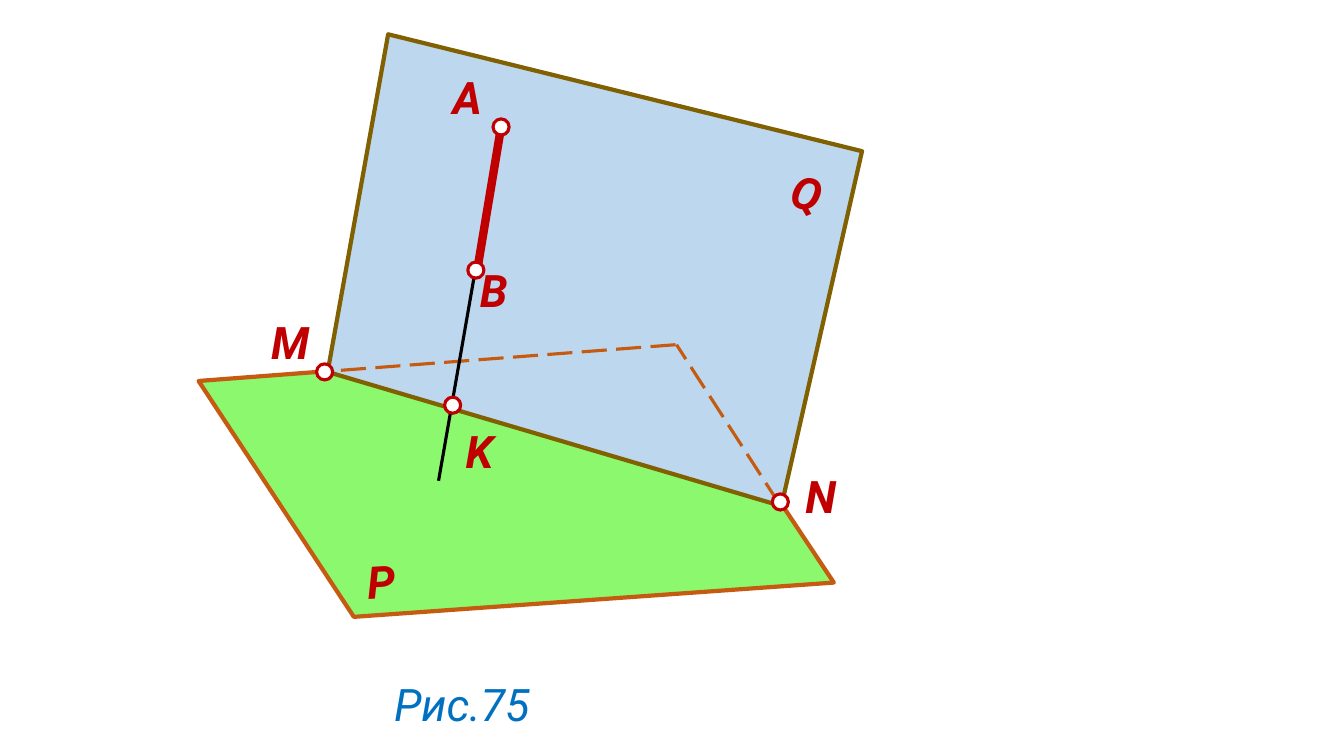
from pptx import Presentation
from pptx.dml.color import RGBColor
from pptx.enum.dml import MSO_LINE
from pptx.enum.shapes import MSO_CONNECTOR, MSO_SHAPE
from pptx.enum.text import MSO_AUTO_SIZE, PP_ALIGN
from pptx.util import Inches, Pt
from lxml import etree

COLORS = {
    "green": "8CF86E", "orange": "C55A11", "blue": "BDD7EE", "brown": "806000",
    "red": "C00000", "black": "000000", "white": "FFFFFF", "caption": "0070C0",
}
PLANES = [
    ([(1.97, 3.78), (6.7, 3.42), (8.27, 5.78), (3.51, 6.12)], "green", "orange"),
    ([(3.85, 0.34), (8.55, 1.5), (7.75, 5.02), (3.25, 3.69)], "blue", "brown"),
]
SEGMENTS = [
    ((7.73, 5), (6.71, 3.42), "orange", 2.25, MSO_LINE.LONG_DASH),
    ((6.7, 3.42), (3.3, 3.68), "orange", 2.25, MSO_LINE.LONG_DASH),
    ((4.97, 1.26), (4.72, 2.76), "red", 6, None),
    ((4.7, 2.76), (4.35, 4.77), "black", 2.25, None),
]
LETTERS = [
    ("B", 4.66, 2.56, 0.48, 0), ("A", 4.39, 0.64, 0.76, 0),
    ("M", 2.59, 3.07, 0.76, 0), ("N", 7.89, 4.6, 0.76, 0),
    ("K", 4.52, 4.15, 0.76, 0), ("Q", 7.75, 1.63, 0.76, 15.4),
    ("P", 3.54, 5.44, 0.76, 356.3),
]
POINTS = [(4.97, 1.26), (4.72, 2.68), (4.49, 4.02), (3.22, 3.69), (7.74, 4.98)]
POINT_SIZE = 0.16
CAPTION = ("Рис.75", 3.81, 6.66, 1.75)
TEXT_HEIGHT = 0.64
DRAWING_NS = "http://schemas.openxmlformats.org/drawingml/2006/main"


def rgb(name):
    return RGBColor.from_string(COLORS[name])


def style_outline(part, color, width):
    part.line.color.rgb = rgb(color)
    part.line.width = Pt(width)


def style_area(area, fill, outline, width):
    area.shadow.inherit = False
    area.fill.solid()
    area.fill.fore_color.rgb = rgb(fill)
    style_outline(area, outline, width)


def add_plane(slide, corners, fill, outline):
    vertices = [(Inches(x), Inches(y)) for x, y in corners]
    builder = slide.shapes.build_freeform(*vertices[0])
    builder.add_line_segments(vertices[1:], close=True)
    style_area(builder.convert_to_shape(), fill, outline, 3)


def add_segment(slide, start, end, color, width, dash):
    segment = slide.shapes.add_connector(
        MSO_CONNECTOR.STRAIGHT, *map(Inches, start + end))
    style_outline(segment, color, width)
    if dash:
        segment.line.dash_style = dash
    etree.SubElement(segment._element.spPr, f"{{{DRAWING_NS}}}effectLst")


def add_label(slide, wording, left, top, width, color, bold=False, rotation=0):
    label = slide.shapes.add_textbox(*map(Inches, (left, top, width, TEXT_HEIGHT)))
    label.rotation = rotation
    frame = label.text_frame
    frame.word_wrap = True
    frame.auto_size = MSO_AUTO_SIZE.SHAPE_TO_FIT_TEXT
    frame.paragraphs[0].alignment = PP_ALIGN.LEFT
    run = frame.paragraphs[0].add_run()
    run.text = wording
    run.font.name = "Roboto"
    run.font.size = Pt(32)
    run.font.bold = bold
    run.font.italic = True
    run.font.color.rgb = rgb(color)


def add_point(slide, x, y):
    corner = (x - POINT_SIZE / 2, y - POINT_SIZE / 2)
    point = slide.shapes.add_shape(
        MSO_SHAPE.OVAL, *map(Inches, corner + (POINT_SIZE, POINT_SIZE)))
    style_area(point, "white", "red", 2.25)


def main():
    deck = Presentation()
    deck.slide_width, deck.slide_height = Inches(13.33), Inches(7.5)
    slide = deck.slides.add_slide(deck.slide_layouts[6])
    for plane in PLANES:
        add_plane(slide, *plane)
    for segment in SEGMENTS:
        add_segment(slide, *segment)
    for letter, left, top, width, rotation in LETTERS:
        add_label(slide, letter, left, top, width, "red", True, rotation)
    for point in POINTS:
        add_point(slide, *point)
    add_label(slide, *CAPTION, "caption")
    deck.save("out.pptx")


if __name__ == "__main__":
    main()
